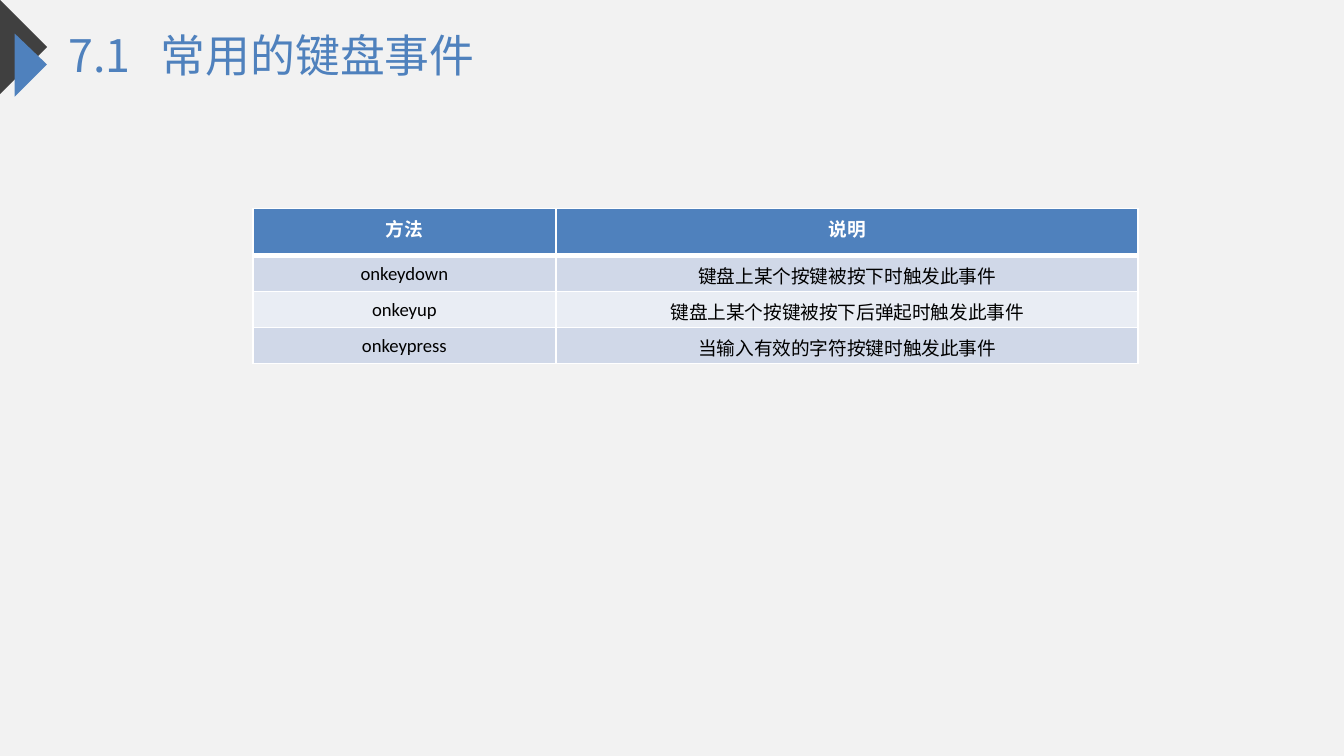
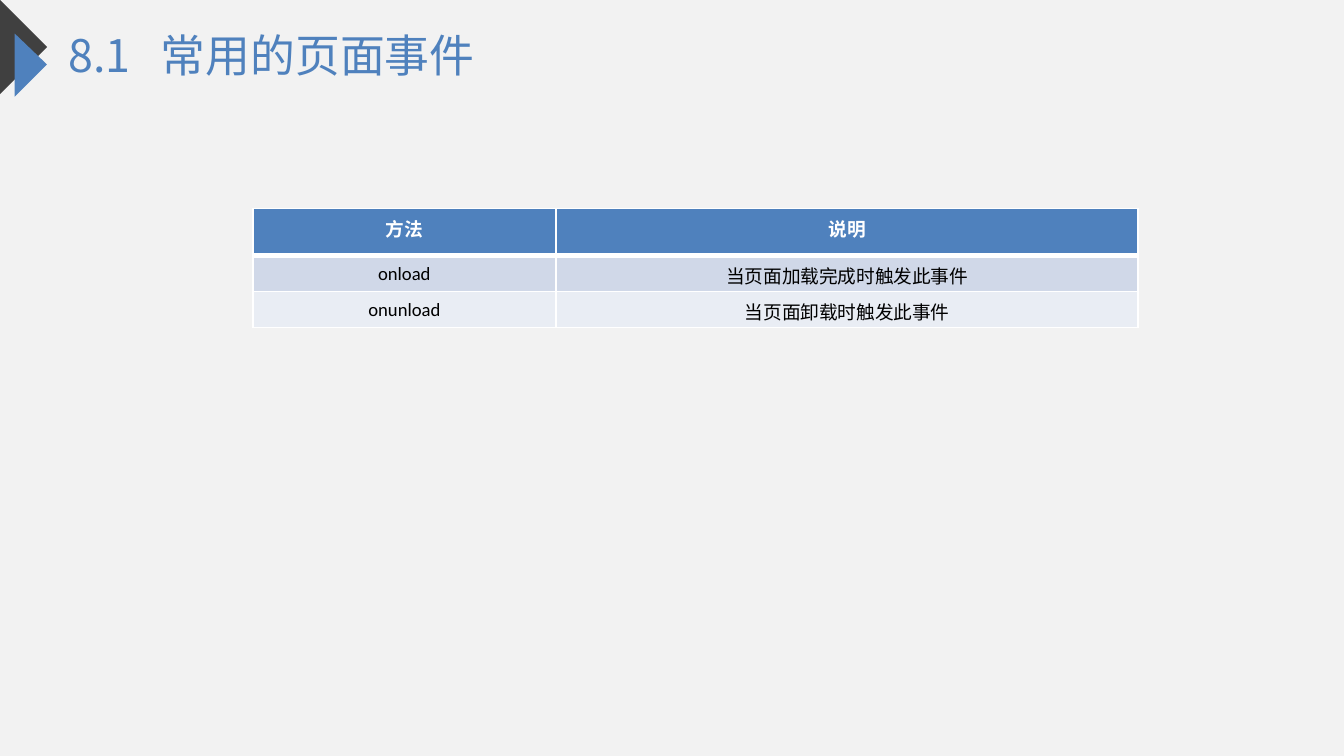
from lxml.etree import SubElement
from pptx import Presentation
from pptx.dml.color import RGBColor
from pptx.enum.text import MSO_AUTO_SIZE as AutoSize, PP_ALIGN as Align
from pptx.oxml.ns import qn
from pptx.util import Pt

BLUE, DARK, PAPER = "4F81BD", "404040", "F2F2F2"
WHITE, BLACK = "FFFFFF", "000000"
BANDS = ("D0D8E8", "E9EDF4")
TITLE_FONT, TABLE_FONT = "Noto Sans CJK SC", "Calibri"
CORNER_ARROWS = (
    (DARK, [(0, 0), (25.2, 25.2), (0, 50.4)]),
    (BLUE, [(7.9, 18), (25.2, 34.6), (7.9, 51.8)]),
)
COLUMN_WIDTHS = (162.4, 312)
HEADER_HEIGHT, ROW_HEIGHT = 25.2, 19.3
HEADINGS = ("方法", "说明")

PAGES = (
    ("7.1", "常用的键盘事件", (
        ("onkeydown", "键盘上某个按键被按下时触发此事件"),
        ("onkeyup", "键盘上某个按键被按下后弹起时触发此事件"),
        ("onkeypress", "当输入有效的字符按键时触发此事件"),
    )),
    ("8.1", "常用的页面事件", (
        ("onload", "当页面加载完成时触发此事件"),
        ("onunload", "当页面卸载时触发此事件"),
    )),
)


def paint(target, color):
    """Give a fill one solid colour."""
    target.solid()
    target.fore_color.rgb = RGBColor.from_string(color)


def write(para, text, color, **font):
    span = para.add_run()
    span.text = text
    span.font.color.rgb = RGBColor.from_string(color)
    for name, value in font.items():
        setattr(span.font, name, value)
    return span


def set_borders(cell, widths):
    """Draw white cell edges; widths maps L, R, T, B to points."""
    properties = cell._tc.get_or_add_tcPr()
    for side, width in widths.items():
        line = SubElement(properties, qn(f"a:ln{side}"), w=str(Pt(width)))
        solid = SubElement(line, qn("a:solidFill"))
        SubElement(solid, qn("a:srgbClr"), val=WHITE)


class EventDeck:
    def __init__(self):
        self.deck = Presentation()
        self.deck.slide_width, self.deck.slide_height = Pt(720), Pt(405)
        self.page = None

    def add_page(self):
        self.page = self.deck.slides.add_slide(self.deck.slide_layouts[6])
        paint(self.page.background.fill, PAPER)
        for color, points in CORNER_ARROWS:
            self.add_outline(color, points)

    def add_outline(self, color, points):
        start, *others = [(Pt(x), Pt(y)) for x, y in points]
        builder = self.page.shapes.build_freeform(*start)
        builder.add_line_segments(others, close=True)
        shape = builder.convert_to_shape()
        shape.shadow.inherit = False
        paint(shape.fill, color)
        shape.line.fill.background()

    def add_title(self, number, title):
        box = self.page.shapes.add_textbox(Pt(36.7), Pt(15.1), Pt(218.2), Pt(28.8))
        frame = box.text_frame
        settings = {"margin_left": 0, "margin_top": 0, "margin_right": 0,
                    "margin_bottom": 0, "word_wrap": False,
                    "auto_size": AutoSize.SHAPE_TO_FIT_TEXT}
        for name, value in settings.items():
            setattr(frame, name, value)
        para = frame.paragraphs[0]
        stops = SubElement(para._p.get_or_add_pPr(), qn("a:tabLst"))
        SubElement(stops, qn("a:tab"), pos=str(Pt(49.5)), algn="l")
        span = write(para, f"{number}\t{title}", BLUE, size=Pt(24), name=TITLE_FONT)
        SubElement(span.font._element, qn("a:ea"), typeface=TITLE_FONT)

    def add_table(self, events):
        rows = (HEADINGS, *events)
        height = HEADER_HEIGHT + ROW_HEIGHT * len(events)
        table = self.page.shapes.add_table(
            len(rows), len(HEADINGS), Pt(135.4), Pt(111.8),
            Pt(sum(COLUMN_WIDTHS)), Pt(height)).table
        table.first_row = table.horz_banding = False
        for column, width in zip(table.columns, COLUMN_WIDTHS):
            column.width = Pt(width)
        for index, texts in enumerate(rows):
            header = index == 0
            table.rows[index].height = Pt(HEADER_HEIGHT if header else ROW_HEIGHT)
            for column, text in enumerate(texts):
                cell = table.cell(index, column)
                set_borders(cell, {"L": 1, "R": 1, "T": 3 if index == 1 else 1,
                                   "B": 3 if header else 1})
                paint(cell.fill, BLUE if header else BANDS[(index - 1) % 2])
                para = cell.text_frame.paragraphs[0]
                para.alignment = Align.CENTER
                write(para, text, WHITE if header else BLACK,
                      size=Pt(10), name=TABLE_FONT, bold=header)


def main():
    event_deck = EventDeck()
    for number, title, events in PAGES:
        event_deck.add_page()
        event_deck.add_title(number, title)
        event_deck.add_table(events)
    event_deck.deck.save("out.pptx")


if __name__ == "__main__":
    main()
